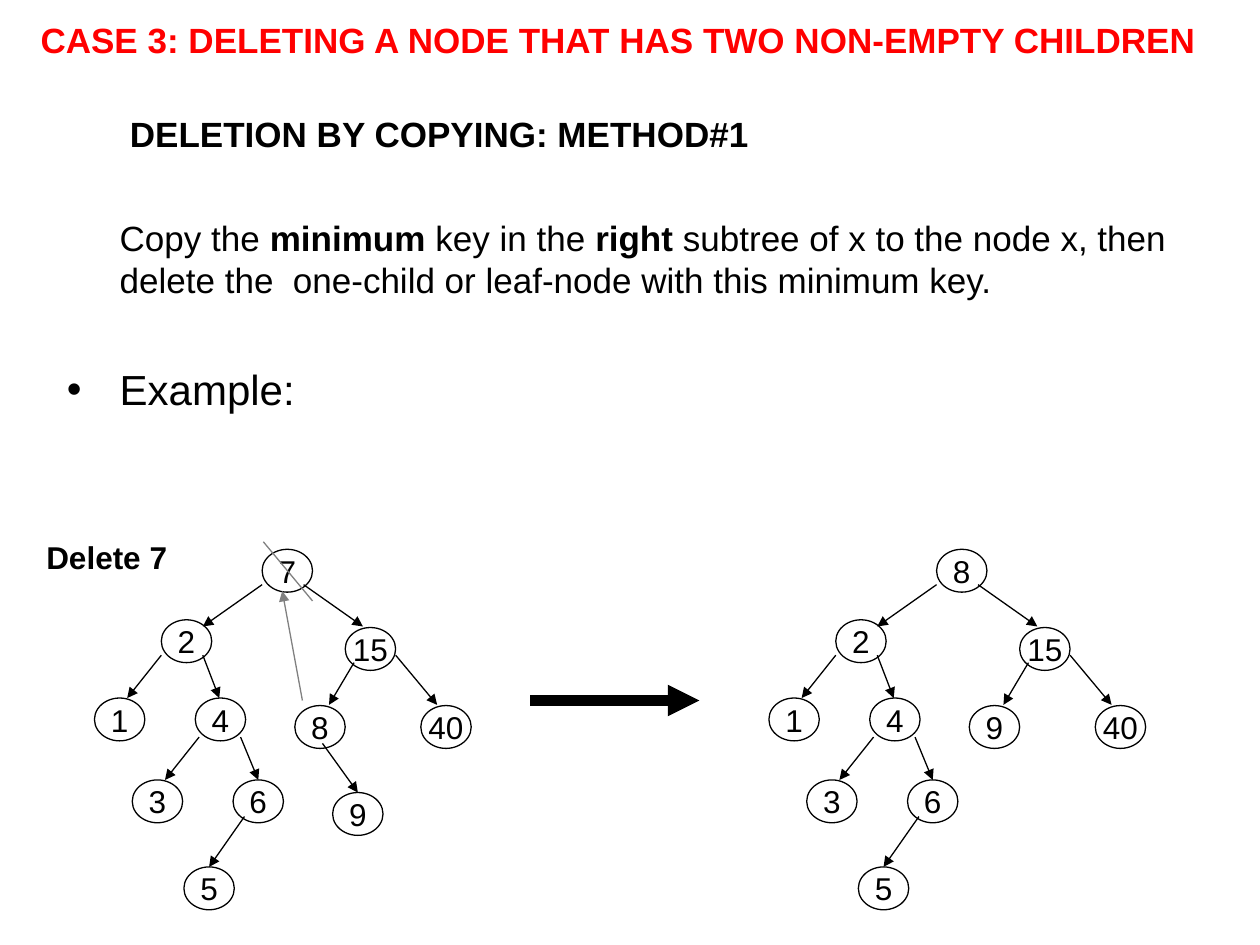
from dataclasses import dataclass
from lxml.etree import SubElement
from pptx import Presentation
from pptx.dml.color import RGBColor
from pptx.enum.shapes import MSO_CONNECTOR as CONN, MSO_SHAPE as SHAPE
from pptx.enum.text import MSO_ANCHOR as ANCHOR, MSO_AUTO_SIZE as FIT, PP_ALIGN as ALIGN
from pptx.oxml.ns import qn
from pptx.util import Pt


@dataclass(frozen=True)
class Theme:
    font: str = "Arial"
    ink: RGBColor = RGBColor(0, 0, 0)
    accent: RGBColor = RGBColor(255, 0, 0)
    muted: RGBColor = RGBColor(128, 128, 128)
    head: float = 20
    item: float = 24
    label: float = 18
    thin: float = 0.75
    thick: float = 6


class Deck:
    node_w, node_h = 28.8, 24.5

    def __init__(self, prs, theme):
        self.theme = theme
        self.s = prs.slides.add_slide(prs.slide_layouts[1])

    def style(self, p, size, color=None, bold=False):
        p.font.name = self.theme.font
        p.font.size = Pt(size)
        p.font.bold = bold
        p.font.color.rgb = color or self.theme.ink

    def place(self, sp, x, y, w, h):
        sp.left, sp.top, sp.width, sp.height = Pt(x), Pt(y), Pt(w), Pt(h)

    def title(self, text, *box):
        sp = self.s.shapes.title
        self.place(sp, *box)
        tf = sp.text_frame
        tf.auto_size = FIT.NONE
        tf.vertical_anchor = ANCHOR.MIDDLE
        tf.margin_left = tf.margin_right = tf.margin_top = tf.margin_bottom = 0
        p = tf.paragraphs[0]
        p.text = text
        p.alignment = ALIGN.CENTER
        self.style(p, self.theme.head, self.theme.accent, True)

    def body(self, *box):
        sp = self.s.placeholders[1]
        self.place(sp, *box)
        sp.text_frame.auto_size = FIT.NONE
        return sp.text_frame

    def paragraph(self, p, runs, size, indent, hang=0, before=0, bullet=None):
        for text, bold in runs:
            r = p.add_run()
            r.text = text
            r.font.bold = bold
        p.space_before = Pt(before)
        self.style(p, size)
        pPr = p._p.get_or_add_pPr()
        pPr.set("marL", str(Pt(indent)))
        pPr.set("indent", str(Pt(-hang)))
        mark = pPr.makeelement(qn("a:buChar" if bullet else "a:buNone"), {})
        if bullet:
            mark.set("char", bullet)
        pPr.insert_element_before(mark, "a:tabLst", "a:defRPr", "a:extLst")

    def label(self, text, *box):
        sp = self.s.shapes.add_textbox(*map(Pt, box))
        tf = sp.text_frame
        tf.word_wrap = True
        p = tf.paragraphs[0]
        p.text = text
        self.style(p, self.theme.label, bold=True)

    def node(self, key, x, y):
        sp = self.s.shapes.add_shape(SHAPE.OVAL, Pt(x), Pt(y), Pt(self.node_w), Pt(self.node_h))
        sp.shadow.inherit = False
        sp.fill.background()
        sp.line.color.rgb = self.theme.ink
        sp.line.width = Pt(self.theme.thin)
        tf = sp.text_frame
        tf.word_wrap = False
        tf.vertical_anchor = ANCHOR.MIDDLE
        p = tf.paragraphs[0]
        p.text = str(key)
        p.alignment = ALIGN.CENTER
        self.style(p, self.theme.label)

    def line(self, x1, y1, x2, y2, color=None, width=None, arrow=True):
        c = self.s.shapes.add_connector(CONN.STRAIGHT, Pt(x1), Pt(y1), Pt(x2), Pt(y2))
        c.line.color.rgb = color or self.theme.ink
        c.line.width = Pt(width or self.theme.thin)
        if arrow:
            SubElement(c.line._get_or_add_ln(), qn("a:tailEnd"), type="triangle")
        SubElement(c._element.spPr, qn("a:effectLst"))

    def tree(self, nodes, edges, dx=0):
        for key, x, y in nodes:
            self.node(key, x + dx, y)
        for x1, y1, x2, y2 in edges:
            self.line(x1 + dx, y1, x2 + dx, y2)


SHARED_NODES = [
    (2, 92.2, 354.2), (15, 197.3, 358.6), (1, 54, 398.9), (4, 111.6, 398.9),
    (40, 240.5, 403.2), (3, 75.6, 445.7), (6, 133.2, 445.7), (5, 105.1, 495.4),
]
SHARED_EDGES = [
    (173.5, 334.1, 207.4, 358), (149.8, 334.1, 115.9, 358),
    (92.2, 374.4, 72.7, 398.9), (115.9, 374.4, 125.3, 398.9),
    (202.3, 378.7, 188, 402.8), (226.1, 374.4, 249.8, 402.8),
    (113.8, 421.2, 94.3, 445.7), (137.5, 421.2, 147.6, 445.7),
    (139.7, 466.6, 119.5, 495.4),
]
ROOT = (149.8, 313.9)
SUCCESSOR = (168.5, 403.2)
TREE_GAP = 385.4


def main():
    prs = Presentation()
    prs.slide_width, prs.slide_height = Pt(720), Pt(540)
    theme = Theme()
    deck = Deck(prs, theme)

    deck.title("CASE 3: DELETING A NODE THAT HAS TWO NON-EMPTY CHILDREN ", 14.4, 0, 683.3, 45.4)
    tf = deck.body(31, 60.5, 648, 204.5)
    deck.paragraph(tf.paragraphs[0], [("DELETION BY COPYING: METHOD#1", True)],
                   theme.head, 36, before=5)
    deck.paragraph(tf.add_paragraph(), [
        ("Copy the ", False), ("minimum", True), (" key in the ", False), ("right", True),
        (" subtree of x to the node x, then delete the  one-child or leaf-node"
         " with this minimum key.", False),
    ], theme.head, 30.2, before=35.5)
    deck.paragraph(tf.add_paragraph(), [("Example:", False)],
                   theme.item, 30.2, 30.2, 36, "•")

    deck.label("Delete 7", 19.4, 303.8, 90.7, 28.8)
    deck.tree(SHARED_NODES + [(7, *ROOT), (8, *SUCCESSOR), (9, 190.1, 452.9)],
              SHARED_EDGES + [(184.3, 424.8, 204.5, 452.9)])
    deck.line(178.6, 343.4, 150.5, 309.6, theme.muted, arrow=False)
    deck.line(172.8, 400.3, 161.3, 337.7, theme.muted)
    deck.line(303.1, 400.3, 399.6, 400.3, width=theme.thick)
    deck.tree(SHARED_NODES + [(8, *ROOT), (9, *SUCCESSOR)], SHARED_EDGES, TREE_GAP)

    prs.save("out.pptx")


if __name__ == "__main__":
    main()
